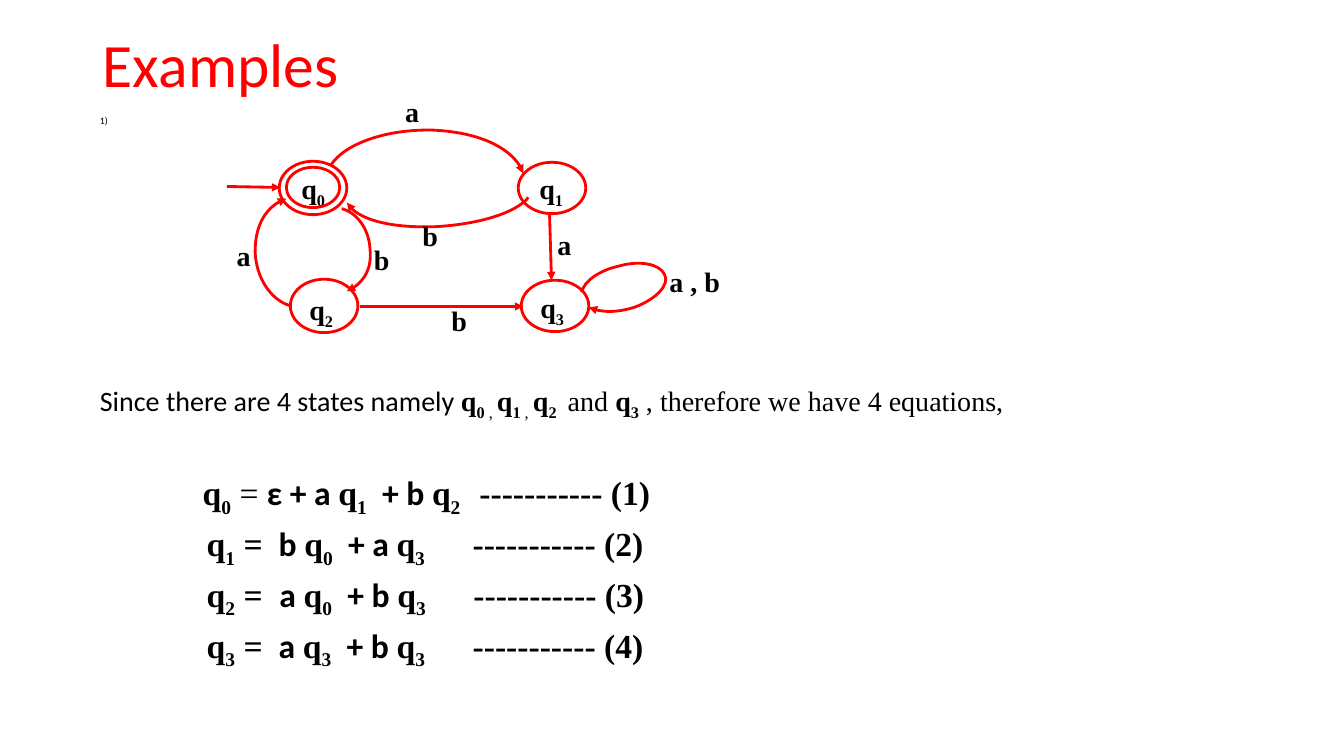
import math
from dataclasses import dataclass

from lxml import etree
from pptx import Presentation
from pptx import util as u
from pptx.dml.color import RGBColor
from pptx.enum import shapes, text
from pptx.oxml import ns


@dataclass(frozen=True)
class Theme:
    accent: RGBColor = RGBColor(0xFF, 0x00, 0x00)
    ink: RGBColor = RGBColor(0x00, 0x00, 0x00)
    sans: str = "Calibri"
    serif: str = "Times New Roman"
    title_size: int = 44
    equation_size: int = 24
    text_size: int = 20
    number_size: int = 7
    line_width: int = 2


def sans(words, bold=False):
    return words, "sans", bold, False, 0


def serif(words, bold=True):
    return words, "serif", bold, False, 0


def subscript(words, bold=True):
    return words, "serif", bold, True, 0


def gap(points):
    """One space widened by the given character spacing."""
    return " ", "serif", True, False, points


def state_runs(index):
    return [serif("q"), subscript(index)]


class SlideBuilder:
    def __init__(self, slide, theme):
        self.slide = slide
        self.theme = theme

    def place(self, shape, left, top, width, height):
        shape.left, shape.top = u.Inches(left), u.Inches(top)
        shape.width, shape.height = u.Inches(width), u.Inches(height)

    def add_runs(self, paragraph, runs, size, color=None):
        for words, family, bold, lowered, spacing in runs:
            run = paragraph.add_run()
            run.text = words
            font = run.font
            font.name = getattr(self.theme, family)
            font.size = u.Pt(size)
            font.bold = bold
            font.color.rgb = color or self.theme.ink
            if lowered:
                font._element.set("baseline", "-25000")
            if spacing:
                font._element.set("spc", str(round(spacing * 100)))

    def title(self, words, *box):
        shape = self.slide.shapes.title
        self.place(shape, *box)
        frame = shape.text_frame
        frame.vertical_anchor = text.MSO_ANCHOR.MIDDLE
        frame.auto_size = text.MSO_AUTO_SIZE.NONE
        paragraph = frame.paragraphs[0]
        paragraph.alignment = text.PP_ALIGN.LEFT
        paragraph.line_spacing = 0.9
        self.add_runs(paragraph, [sans(words)], self.theme.title_size, self.theme.accent)

    def body(self, paragraphs, *box):
        """Each paragraph is its runs, size, line height, space before and after, indent."""
        shape = self.slide.placeholders[1]
        self.place(shape, *box)
        frame = shape.text_frame
        frame.auto_size = text.MSO_AUTO_SIZE.NONE
        for number, (runs, size, height, before, after, indent) in enumerate(paragraphs):
            paragraph = frame.add_paragraph() if number else frame.paragraphs[0]
            paragraph.alignment = text.PP_ALIGN.LEFT
            paragraph.line_spacing = u.Pt(height)
            paragraph.space_before = u.Pt(before)
            paragraph.space_after = u.Pt(after)
            properties = paragraph._p.get_or_add_pPr()
            properties.set("marL", str(u.Inches(indent)))
            properties.set("indent", "0")
            etree.SubElement(properties, ns.qn("a:buNone"))
            self.add_runs(paragraph, runs, size)

    def label(self, runs, left, top, width=0.37, height=0.24):
        box = self.slide.shapes.add_textbox(
            u.Inches(left), u.Inches(top), u.Inches(width), u.Inches(height))
        box.text_frame.word_wrap = True
        paragraph = box.text_frame.paragraphs[0]
        paragraph.space_after = u.Pt(10)
        self.add_runs(paragraph, runs, self.theme.text_size)

    def stroke(self, shape, arrow=False):
        shape.line.color.rgb = self.theme.accent
        shape.line.width = u.Pt(self.theme.line_width)
        if arrow:
            etree.SubElement(shape.line._get_or_add_ln(), ns.qn("a:tailEnd"), type="triangle")

    def ellipse(self, left, top, width, height):
        shape = self.slide.shapes.add_shape(
            shapes.MSO_SHAPE.OVAL,
            u.Inches(left), u.Inches(top), u.Inches(width), u.Inches(height))
        shape.fill.background()
        shape.shadow.inherit = False
        self.stroke(shape)

    def arrow(self, *ends):
        connector = self.slide.shapes.add_connector(
            shapes.MSO_CONNECTOR.STRAIGHT, *(u.Inches(value) for value in ends))
        self.stroke(connector, arrow=True)
        etree.SubElement(connector._element.spPr, ns.qn("a:effectLst"))

    def curved_arrow(self, box, angle, start, *segments):
        """Cubic curves given in slide inches, stored in a box turned by angle."""
        left, top, width, height = box
        cosine, sine = math.cos(math.radians(angle)), math.sin(math.radians(angle))

        def add_point(parent, x, y):
            dx, dy = x - left - width / 2, y - top - height / 2
            etree.SubElement(
                parent, ns.qn("a:pt"),
                x=str(u.Inches(dx * cosine + dy * sine + width / 2)),
                y=str(u.Inches(dy * cosine - dx * sine + height / 2)))

        builder = self.slide.shapes.build_freeform(u.Inches(left), u.Inches(top))
        corner = u.Inches(left + width), u.Inches(top + height)
        builder.add_line_segments([corner], close=False)
        shape = builder.convert_to_shape()
        self.place(shape, *box)
        outline = next(shape._element.iter(ns.qn("a:path")))
        for child in list(outline):
            outline.remove(child)
        outline.set("w", str(u.Inches(width)))
        outline.set("h", str(u.Inches(height)))
        add_point(etree.SubElement(outline, ns.qn("a:moveTo")), *start)
        for segment in segments:
            curve = etree.SubElement(outline, ns.qn("a:cubicBezTo"))
            for x, y in zip(segment[::2], segment[1::2]):
                add_point(curve, x, y)
        shape.rotation = angle
        shape.fill.background()
        shape.shadow.inherit = False
        self.stroke(shape, arrow=True)


STATES = [  # index, ellipse box, label corner
    ("0", (2.77, 1.6, 0.67, 0.53), (2.89, 1.65)),
    ("1", (5.14, 1.61, 0.67, 0.51), (5.25, 1.65)),
    ("2", (2.88, 2.77, 0.67, 0.53), (2.97, 2.85)),
    ("3", (5.17, 2.78, 0.67, 0.51), (5.26, 2.83)),
]
ACCEPTING_RING = (2.84, 1.66, 0.53, 0.4)
STRAIGHT_EDGES = [
    (2.25, 1.85, 2.78, 1.86),
    (5.45, 2.11, 5.47, 2.78),
    (3.57, 3.04, 5.19, 3.04),
]
CURVED_EDGES = [  # box, rotation, start, cubic segments
    ((3.71, 0.81, 1.01, 1.98), 270, (3.28, 1.64),
     (3.42, 1.42, 3.84, 1.28, 4.29, 1.29), (4.74, 1.31, 5.12, 1.49, 5.19, 1.72)),
    ((4.01, 0.97, 0.68, 1.86), 86.7, (5.24, 1.96),
     (5.11, 2.12, 4.72, 2.23, 4.3, 2.25), (3.87, 2.26, 3.51, 2.16, 3.44, 2.01)),
    ((2.99, 2.05, 0.68, 0.85), 352.4, (3.39, 2.07),
     (3.54, 2.11, 3.66, 2.27, 3.67, 2.47), (3.69, 2.66, 3.59, 2.83, 3.44, 2.89)),
    ((2.53, 1.96, 0.85, 1.09), 174.9, (2.87, 3.03),
     (2.68, 2.97, 2.54, 2.75, 2.53, 2.5), (2.53, 2.25, 2.65, 2.03, 2.84, 1.97)),
    ((5.75, 2.63, 0.86, 0.44), 344.9, (5.77, 2.9),
     (5.79, 2.79, 5.95, 2.68, 6.14, 2.64), (6.35, 2.58, 6.54, 2.62, 6.59, 2.72),
     (6.65, 2.82, 6.51, 2.97, 6.29, 3.05), (6.12, 3.1, 5.94, 3.1, 5.84, 3.05)),
]
EDGE_LABELS = [
    ("a", 3.92, 0.89), ("b", 4.09, 2.12), ("a", 2.25, 2.32), ("b", 3.61, 2.36),
    ("b", 4.38, 2.96), ("a", 5.43, 2.21), ("a , b", 6.54, 2.57, 0.88),
]
EQUATIONS = [  # equals sign, first factor, state, second factor, state
    (serif(" = ", False), "ε + a ", "1", "  + b ", "2"),
    (serif(" = "), " b ", "0", "  + a ", "3"),
    (serif(" =  "), "a ", "0", "  + b ", "3"),
    (serif(" = "), " a ", "3", "  + b ", "3"),
]


def body_paragraphs(theme):
    comma = subscript(" , ", False)
    sentence = [
        sans("Since there are 4 states namely "), *state_runs("0"), comma,
        *state_runs("1"), comma, *state_runs("2 "), serif(" and ", False),
        *state_runs("3"), serif(" , therefore we have 4 equations,", False),
    ]
    yield [sans("1)")], theme.number_size, 6, 0, 0, 0
    yield sentence, theme.text_size, 22, 189, 10, 0
    for index, (equals, factor, state, next_factor, next_state) in enumerate(EQUATIONS):
        indent, before, widening = (1.06, 0, 28) if index else (1.02, 32.7, 7.5)
        runs = [
            *state_runs(str(index)), equals,
            sans(factor, True), *state_runs(state),
            sans(next_factor, True), *state_runs(next_state),
            gap(widening), serif(f"----------- ({index + 1})"),
        ]
        yield runs, theme.equation_size, 26.2, before, 10, indent


def main():
    presentation = Presentation()
    presentation.slide_width, presentation.slide_height = u.Inches(13.33), u.Inches(7.5)
    theme = Theme()
    builder = SlideBuilder(presentation.slides.add_slide(presentation.slide_layouts[1]), theme)
    builder.title("Examples", 0.92, 0.26, 11.5, 0.83)
    builder.body(body_paragraphs(theme), 0.89, 1.12, 11.53, 5.67)
    for index, box, corner in STATES:
        builder.ellipse(*box)
        builder.label(state_runs(index), *corner, width=0.68, height=0.37)
    builder.ellipse(*ACCEPTING_RING)
    for edge in STRAIGHT_EDGES:
        builder.arrow(*edge)
    for edge in CURVED_EDGES:
        builder.curved_arrow(*edge)
    for symbol, *box in EDGE_LABELS:
        builder.label([serif(symbol)], *box)
    presentation.save("out.pptx")


if __name__ == "__main__":
    main()
